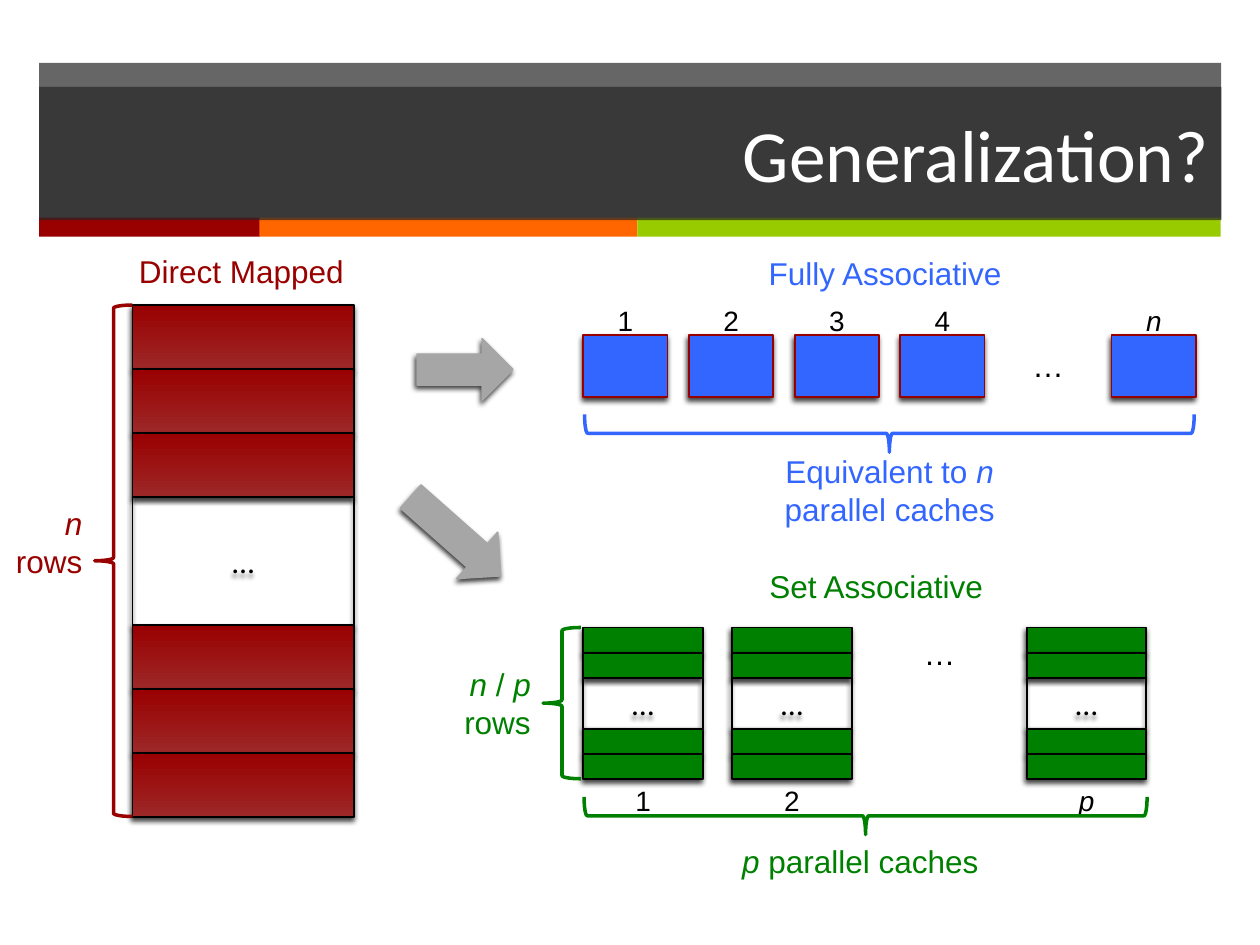
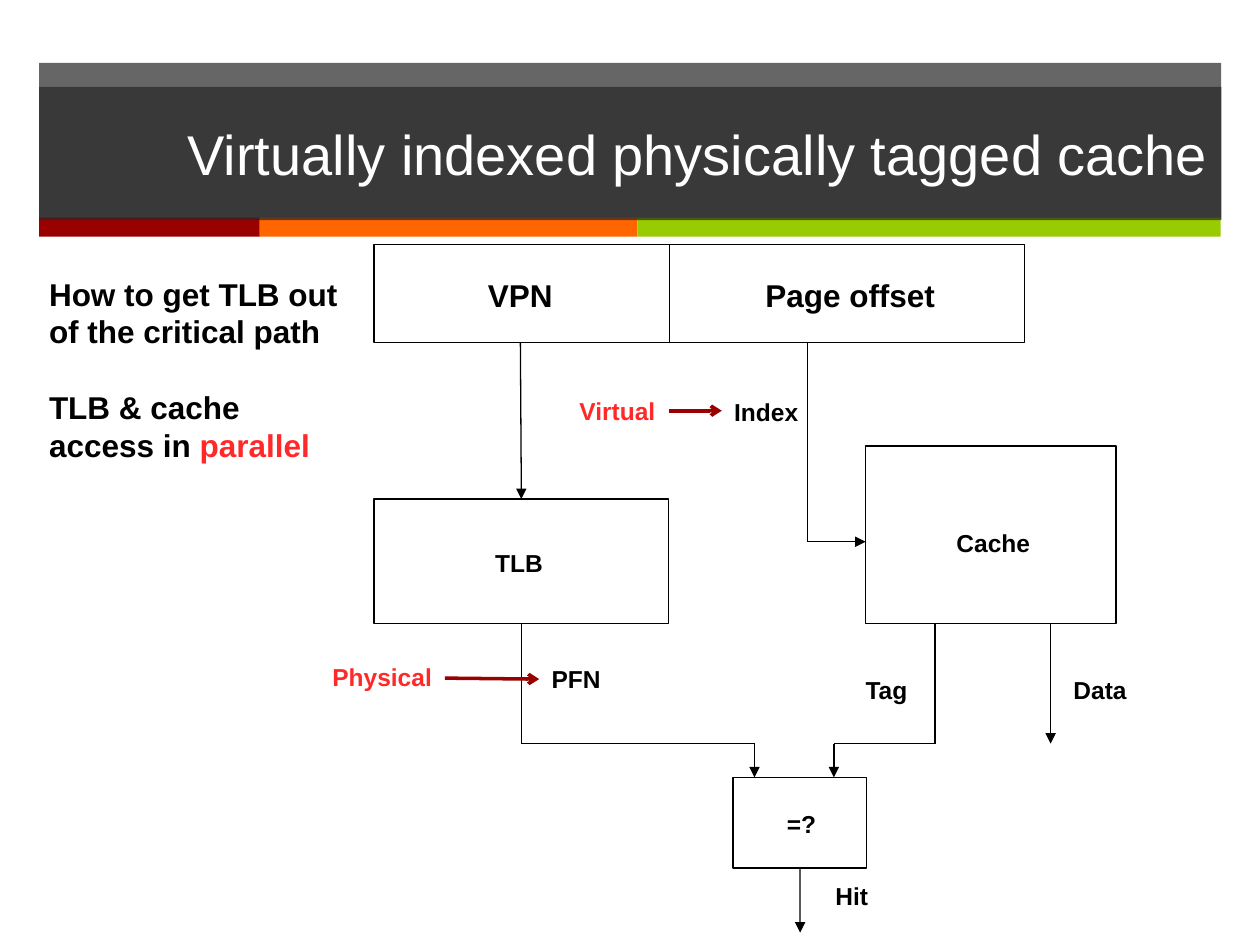
from lxml import etree
from pptx import Presentation
from pptx.dml.color import RGBColor
from pptx.enum.shapes import MSO_CONNECTOR, MSO_SHAPE
from pptx.enum.text import MSO_ANCHOR, MSO_AUTO_SIZE, PP_ALIGN
from pptx.oxml.ns import qn
from pptx.util import Cm, Pt

RECT, BRACE, ARROW = MSO_SHAPE.RECTANGLE, MSO_SHAPE.LEFT_BRACE, MSO_SHAPE.RIGHT_ARROW
LEFT, CENTER, RIGHT = PP_ALIGN.LEFT, PP_ALIGN.CENTER, PP_ALIGN.RIGHT
TOP, BOTTOM = 0, 2

BLACK = RGBColor(0x00, 0x00, 0x00)
WHITE = RGBColor(0xFF, 0xFF, 0xFF)
CHARCOAL = RGBColor(0x26, 0x26, 0x26)
GREY = RGBColor(0xA6, 0xA6, 0xA6)
DARK_RED = RGBColor(0x99, 0x00, 0x00)
FADED_RED = RGBColor(0x9D, 0x28, 0x28)
EDGE_RED = RGBColor(0x96, 0x00, 0x00)
BRIGHT_RED = RGBColor(0xFF, 0x29, 0x29)
ORANGE = RGBColor(0xFF, 0x66, 0x00)
LIME = RGBColor(0x99, 0xCC, 0x00)
BLUE = RGBColor(0x33, 0x66, 0xFF)
GREEN = RGBColor(0x00, 0x80, 0x00)

# Shared header; every place is left, top, width, height in cm
BAND = (0.79, 1.27, 23.83, 3.15)
TITLE = (0.79, 1.75, 23.83, 2.69)
STRIPES = [(0.79, 4.45, DARK_RED), (5.23, 7.62, ORANGE), (12.85, 11.76, LIME)]
STRIPE_TOP, STRIPE_HEIGHT = 4.39, 0.38

# Slide 1; *stars* mark emphasis
CAPTIONS = [
    ("Direct Mapped", (2.11, 4.95, 5.51, 1.02), DARK_RED, CENTER),
    ("Fully Associative", (15.09, 5.0, 5.51, 1.02), BLUE, CENTER),
    ("Set Associative", (14.91, 11.3, 5.51, 1.02), GREEN, CENTER),
    ("*n* rows", (0.03, 10.03, 1.88, 1.8), DARK_RED, RIGHT),
    ("*n* / *p* rows", (8.41, 13.28, 2.54, 1.8), GREEN, RIGHT),
    ("Equivalent to *n* parallel caches", (15.09, 8.99, 5.69, 1.8), BLUE, CENTER),
    ("*p* parallel caches", (14.5, 16.84, 5.69, 1.02), GREEN, CENTER),
    ("…", (17.48, 12.65, 2.92, 1.02), BLACK, CENTER),
]
BRACES = [
    ((1.91, 6.15, 0.76, 10.31), 0, DARK_RED),
    ((17.55, 2.59, 0.76, 12.29), 270, BLUE),
    ((17.07, 10.77, 0.76, 11.35), 270, GREEN),
    ((10.95, 12.65, 0.76, 3.05), 0, GREEN),
]
BLOCK_ARROWS = [((8.41, 6.83, 1.93, 1.24), 0), ((7.98, 10.19, 2.41, 1.24), 41.5)]
DIRECT_ROWS = [1, 1, 1, 2, 1, 1, 1]
SET_ROWS = [1, 1, 2, 1, 1]
SET_CACHES = [("1", 11.76), ("2", 14.76), ("*p*", 20.7)]
FULL_CACHES = ["1", "2", "3", "4", "…", "*n*"]
FULL_LEFT, FULL_PITCH, FULL_WIDTH = 11.76, 2.13, 1.7

# Slide 2
BOXES = {
    "address": (7.54, 4.93, 13.11, 1.98),
    "tlb": (7.54, 10.06, 5.94, 2.51),
    "cache": (17.45, 8.99, 5.05, 3.58),
    "compare": (14.78, 15.67, 2.69, 1.83),
}
BOX_LABELS = [
    ("Page offset", (15.16, 5.44, 3.96, 1.02), 18),
    ("VPN", (9.55, 5.44, 1.88, 1.02), 18),
    ("TLB", (9.73, 10.92, 1.47, 0.86), 14),
    ("Cache", (19.02, 10.52, 2.01, 0.86), 14),
    ("=?", (15.6, 16.18, 1.12, 0.86), 14),
]
WIRE_LABELS = [
    ("PFN", (10.87, 13.26, 1.5, 0.86), BLACK),
    ("Tag", (17.2, 13.49, 1.63, 0.81), BLACK),
    ("Data", (21.39, 13.49, 1.8, 0.81), BLACK),
    ("Hit", (16.59, 17.63, 1.4, 0.81), BLACK),
    ("Index", (14.55, 7.87, 2.01, 0.81), BLACK),
    ("Virtual", (11.43, 7.85, 2.06, 0.86), BRIGHT_RED),
    ("Physical", (6.45, 13.23, 2.54, 0.86), BRIGHT_RED),
]
# points, joined start, joined end
WIRES = [
    ([(10.49, 6.91), (10.51, 10.06)], None, ("tlb", TOP)),
    ([(16.28, 6.91), (16.28, 10.92), (17.45, 10.92)], None, None),
    ([(10.51, 12.57), (10.51, 14.99), (15.21, 14.99), (15.21, 15.67)], ("tlb", BOTTOM), None),
    ([(18.85, 12.57), (18.85, 14.99), (16.81, 14.99), (16.81, 15.67)], None, None),
    ([(21.18, 12.57), (21.18, 14.99)], None, None),
    ([(16.13, 17.5), (16.13, 18.8)], ("compare", BOTTOM), None),
]
RED_ARROWS = [((13.49, 8.28), (14.55, 8.28)), ((8.97, 13.67), (10.87, 13.69))]
QUESTION = ["How to get TLB out of the critical path", "TLB & cache access in *parallel*"]
QUESTION_AT = (0.74, 5.41, 6.5, 4.11)


def lengths(place):
    return [Cm(v) for v in place]


def set_alpha(shape, percent):
    for color in shape.element.spPr.iter(qn("a:srgbClr")):
        etree.SubElement(color, qn("a:alpha"), val=str(percent * 1000))


def add_shadow(shape):
    effects = etree.SubElement(shape.element.spPr, qn("a:effectLst"))
    outer = etree.SubElement(effects, qn("a:outerShdw"), blurRad="38100", dist="25400",
                             dir="6600000", rotWithShape="0")
    color = etree.SubElement(outer, qn("a:srgbClr"), val="000000")
    etree.SubElement(color, qn("a:alpha"), val="75000")


def add_shape(s, kind, place, fill=None, line=None, width=1, shadow=False):
    """Add a preset shape; a pair of fill colours makes an upward gradient."""
    sp = s.shapes.add_shape(kind, *lengths(place))
    if fill is None:
        sp.fill.background()
    elif isinstance(fill, list):
        sp.fill.gradient()
        sp.fill.gradient_angle = 90
        for stop, color, position in zip(sp.fill.gradient_stops, fill, (0, 1)):
            stop.color.rgb = color
            stop.position = position
    else:
        sp.fill.solid()
        sp.fill.fore_color.rgb = fill
    if line is None:
        sp.line.fill.background()
    else:
        sp.line.color.rgb = line
        sp.line.width = Pt(width)
    if shadow:
        add_shadow(sp)
    else:
        sp.shadow.inherit = False
    return sp


def write(p, text, size, color, align=LEFT, font="Arial", bold=False, accent=None):
    """Fill a paragraph; starred parts turn to the accent colour, or italic without one."""
    p.alignment = align
    for i, part in enumerate(text.split("*")):
        if not part:
            continue
        starred = i % 2 == 1
        r = p.add_run()
        r.text = part
        r.font.name, r.font.size, r.font.bold = font, Pt(size), bold
        r.font.italic = starred and accent is None
        r.font.color.rgb = accent if starred and accent else color


def add_text(s, texts, place, size, color, align=LEFT, wrap=True, **style):
    tf = s.shapes.add_textbox(*lengths(place)).text_frame
    tf.word_wrap = wrap
    tf.auto_size = MSO_AUTO_SIZE.SHAPE_TO_FIT_TEXT
    for i, text in enumerate(texts):
        p = tf.add_paragraph() if i else tf.paragraphs[0]
        if i:
            p.space_before = Pt(21.5)
        write(p, text, size, color, align, **style)


def add_line(s, start, end, color=BLACK, width=0.75, head=None):
    c = s.shapes.add_connector(MSO_CONNECTOR.STRAIGHT, *lengths(start + end))
    c.line.color.rgb = color
    c.line.width = Pt(width)
    if head:
        etree.SubElement(c.line._get_or_add_ln(), qn("a:tailEnd"), type=head)
    etree.SubElement(c.element.spPr, qn("a:effectLst"))
    return c


def add_stack(s, left, top, width, unit, rows, fill):
    """Stack cache rows; the double-height row stands for the rows left out."""
    for units in rows:
        skipped = units == 2
        sp = add_shape(s, RECT, (left, top, width, units * unit),
                       None if skipped else fill, BLACK, shadow=True)
        if skipped:
            sp.text_frame.vertical_anchor = MSO_ANCHOR.MIDDLE
            write(sp.text_frame.paragraphs[0], "…", 18, BLACK, CENTER, "Calibri")
        top += units * unit


def add_header_to_layout(layout, s):
    """Draw the header on slide s, then move it to the layout that all slides share."""
    for ph in list(layout.placeholders)[1:]:
        layout.shapes.element.remove(ph.element)
    band = add_shape(s, RECT, BAND, CHARCOAL)
    set_alpha(band, 70)
    stripes = [add_shape(s, RECT, (left, STRIPE_TOP, width, STRIPE_HEIGHT), color)
               for left, width, color in STRIPES]
    for sp in [band] + stripes:
        layout.shapes.element.append(sp.element)


def set_title(s, text, size, font):
    title = s.shapes.title
    title.left, title.top, title.width, title.height = lengths(TITLE)
    title.fill.solid()
    title.fill.fore_color.rgb = CHARCOAL
    set_alpha(title, 70)
    title.text_frame.vertical_anchor = MSO_ANCHOR.MIDDLE
    write(title.text_frame.paragraphs[0], text, size, WHITE, RIGHT, font)


def build_generalization(s):
    set_title(s, "Generalization?", 42, "Calibri")
    add_stack(s, 2.67, 6.15, 4.47, 1.29, DIRECT_ROWS, [FADED_RED, DARK_RED])
    for place, angle in BLOCK_ARROWS:
        add_shape(s, ARROW, place, GREY, GREY, shadow=True).rotation = angle
    for i, label in enumerate(FULL_CACHES):
        left = FULL_LEFT + i * FULL_PITCH
        if label == "…":
            add_text(s, [label], (left, 6.86, FULL_WIDTH, 1.02), 18, BLACK, CENTER)
            continue
        add_shape(s, RECT, (left, 6.76, FULL_WIDTH, 1.24), BLUE, EDGE_RED, shadow=True)
        add_text(s, [label], (left, 5.99, FULL_WIDTH, 0.94), 16, BLACK, CENTER)
    for label, left in SET_CACHES:
        add_stack(s, left, 12.65, 2.41, 0.51, SET_ROWS, GREEN)
        add_text(s, [label], (left, 15.67, 2.41, 0.94), 16, BLACK, CENTER)
    for place, angle, color in BRACES:
        add_shape(s, BRACE, place, line=color, width=2).rotation = angle
    for text, place, color, align in CAPTIONS:
        add_text(s, [text], place, 18, color, align)


def build_tagged_cache(s):
    set_title(s, "Virtually indexed physically tagged cache", 32, "Arial")
    boxes = {name: add_shape(s, RECT, place, line=BLACK, width=0.75)
             for name, place in BOXES.items()}
    add_line(s, (13.49, 4.93), (13.49, 6.91))
    for points, start, end in WIRES:
        segments = list(zip(points, points[1:]))
        wires = [add_line(s, a, b, head="triangle" if b == points[-1] else None)
                 for a, b in segments]
        if start:
            wires[0].begin_connect(boxes[start[0]], start[1])
        if end:
            wires[-1].end_connect(boxes[end[0]], end[1])
    for start, end in RED_ARROWS:
        add_line(s, start, end, DARK_RED, 2, "arrow")
    for text, place, size in BOX_LABELS:
        add_text(s, [text], place, size, BLACK, CENTER, wrap=False, bold=True)
    for text, place, color in WIRE_LABELS:
        add_text(s, [text], place, 14, color, wrap=False, bold=True)
    add_text(s, QUESTION, QUESTION_AT, 18, BLACK, bold=True, accent=BRIGHT_RED)


def main():
    prs = Presentation()
    prs.slide_width, prs.slide_height = Cm(25.4), Cm(19.05)
    layout = prs.slide_layouts[5]
    slides = [prs.slides.add_slide(layout) for _ in range(2)]
    add_header_to_layout(layout, slides[0])
    build_generalization(slides[0])
    build_tagged_cache(slides[1])
    prs.save("out.pptx")


if __name__ == "__main__":
    main()
